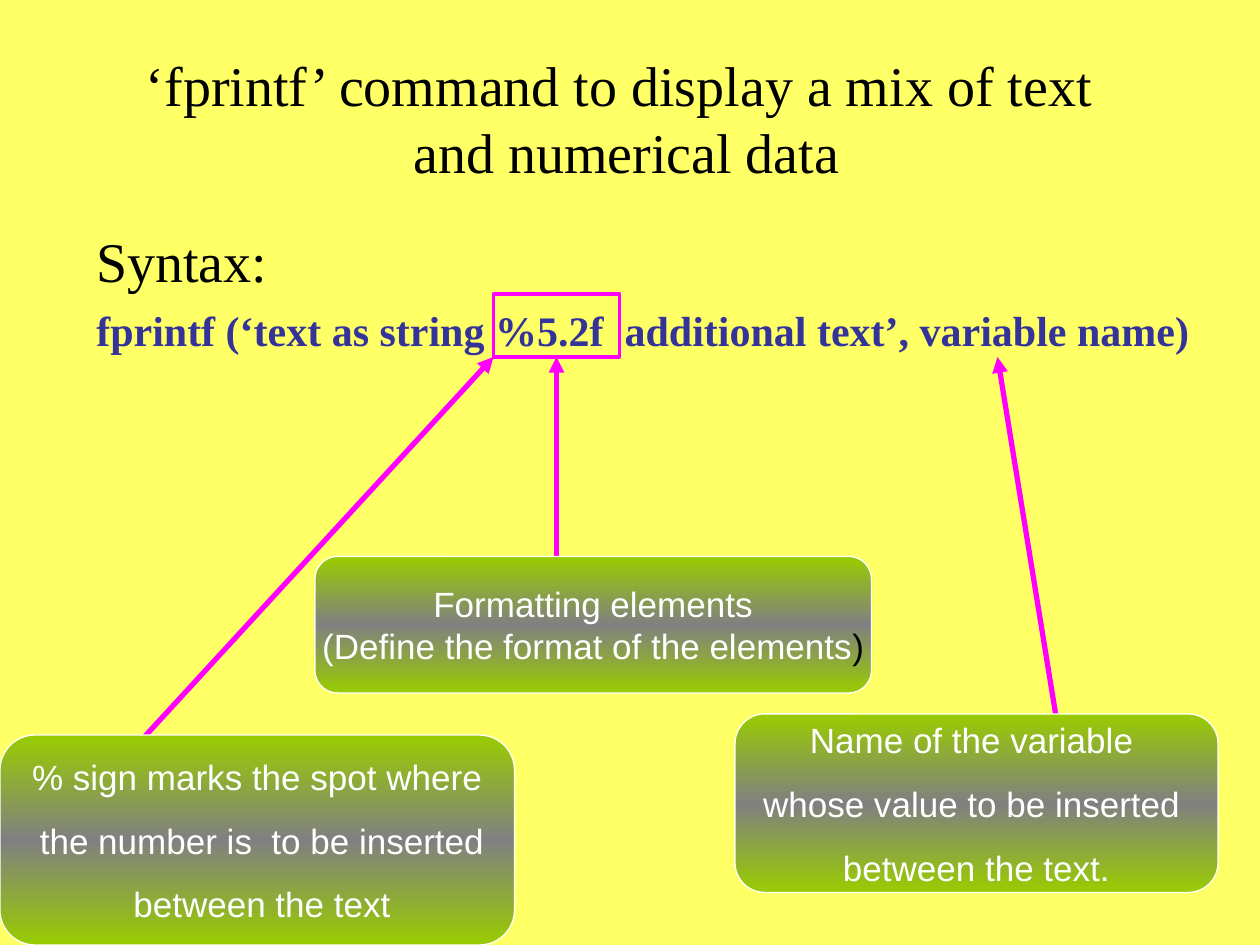
from lxml.etree import SubElement
from pptx import Presentation
from pptx.dml.color import RGBColor
from pptx.enum.shapes import MSO_CONNECTOR, MSO_SHAPE
from pptx.enum.text import MSO_ANCHOR, MSO_AUTO_SIZE, PP_ALIGN
from pptx.oxml.ns import qn
from pptx.util import Inches, Pt

CELL = Inches(1) // 12  # the slide is a grid of 120 columns by 90 rows
SERIF, SANS = "Times New Roman", "Arial"
BLACK, WHITE, NAVY, MAGENTA = "000000", "FFFFFF", "333399", "FF00FF"
GREEN, GREY, YELLOW = "99CC00", "808080", "FFFF66"
CALLOUT_FONT = {"name": SANS, "size": Pt(20), "bold": False}


def rgb(value):
    return RGBColor.from_string(value)


def grid(*cells):
    return [round(c * CELL) for c in cells]


def format_font(font, color, **values):
    font.color.rgb = rgb(color)
    for name, value in values.items():
        setattr(font, name, value)


def format_line(line, color, width):
    line.color.rgb = rgb(color)
    line.width = Pt(width)


def add_title(slide, box, text):
    title = slide.shapes.title
    title.left, title.top, title.width, title.height = grid(*box)
    tf = title.text_frame
    tf.auto_size = MSO_AUTO_SIZE.NONE
    tf.vertical_anchor = MSO_ANCHOR.MIDDLE
    tf.text = text
    p = tf.paragraphs[0]
    p.alignment = PP_ALIGN.CENTER
    format_font(p.font, BLACK, name=SERIF, size=Pt(32))


def add_syntax(slide, box, heading, code):
    tf = slide.shapes.add_textbox(*grid(*box)).text_frame
    tf.word_wrap = True
    tf.text = f"{heading}\n{code}"
    first, second = tf.paragraphs
    format_font(first.font, BLACK, name=SERIF, size=Pt(32))
    format_font(second.font, NAVY, name=SERIF, size=Pt(24), bold=True)
    second.space_before = Pt(6)


def add_arrow(slide, start, end):
    line = slide.shapes.add_connector(MSO_CONNECTOR.STRAIGHT, *grid(*start, *end))
    format_line(line.line, MAGENTA, 3)
    SubElement(line.line._get_or_add_ln(), qn("a:tailEnd"), type="triangle")
    SubElement(line._element.spPr, qn("a:effectLst"))


def add_frame(slide, box):
    sp = slide.shapes.add_shape(MSO_SHAPE.RECTANGLE, *grid(*box))
    sp.shadow.inherit = False
    sp.fill.background()
    format_line(sp.line, MAGENTA, 2)


def fill_gradient(sp, colors):
    """Fill from top to bottom with evenly spaced colours."""
    sp.fill.gradient()
    sp.fill.gradient_angle = 90
    stops = sp._element.spPr.find(qn("a:gradFill")).find(qn("a:gsLst"))
    for stop in list(stops):
        stops.remove(stop)
    for i, color in enumerate(colors):
        stop = SubElement(stops, qn("a:gs"), pos=str(100000 * i // (len(colors) - 1)))
        SubElement(stop, qn("a:srgbClr"), val=color)


def add_callout(slide, box, lines, gap=0):
    """Add a rounded box; each line is a list of (text, colour) runs."""
    sp = slide.shapes.add_shape(MSO_SHAPE.ROUNDED_RECTANGLE, *grid(*box))
    sp.shadow.inherit = False
    fill_gradient(sp, [GREEN, GREY, GREEN])
    format_line(sp.line, WHITE, 0.75)
    tf = sp.text_frame
    tf.word_wrap = False
    tf.vertical_anchor = MSO_ANCHOR.MIDDLE
    for i, runs in enumerate(lines):
        p = tf.add_paragraph() if i else tf.paragraphs[0]
        p.alignment = PP_ALIGN.CENTER
        if i and gap:
            p.space_before = Pt(gap)
        for text, color in runs:
            r = p.add_run()
            r.text = text
            format_font(r.font, color, **CALLOUT_FONT)


def main():
    prs = Presentation()
    prs.slide_width, prs.slide_height = grid(120, 90)
    slide = prs.slides.add_slide(prs.slide_layouts[5])
    slide.background.fill.solid()
    slide.background.fill.fore_color.rgb = rgb(YELLOW)

    add_title(slide, (8, 5, 102, 12.4),
              "‘fprintf’ command to display a mix of text\v and numerical data")
    add_syntax(slide, (8, 21, 108, 42), "Syntax:",
               "fprintf (‘text as string %5.2f  additional text’, variable name)")

    add_frame(slide, (47, 28, 12, 6))
    for start, end in [((13, 71), (47, 34)), ((53, 63), (53, 34)), ((102, 77), (95, 34))]:
        add_arrow(slide, start, end)

    add_callout(slide, (30, 53, 53, 13), [
        [("Formatting elements", WHITE)],
        [("(Define the format of the elements", WHITE), (")", BLACK)],
    ])
    add_callout(slide, (0, 70, 49, 20), [
        [("% sign marks the spot where", WHITE)],
        [(" the number is  to be inserted", WHITE)],
        [(" between the text", WHITE)],
    ], gap=12.5)
    add_callout(slide, (70, 68, 46, 17), [
        [("Name of the variable ", WHITE)],
        [("whose value to be inserted ", WHITE)],
        [("between the text.", WHITE)],
    ], gap=12.5)

    prs.save("out.pptx")


if __name__ == "__main__":
    main()
